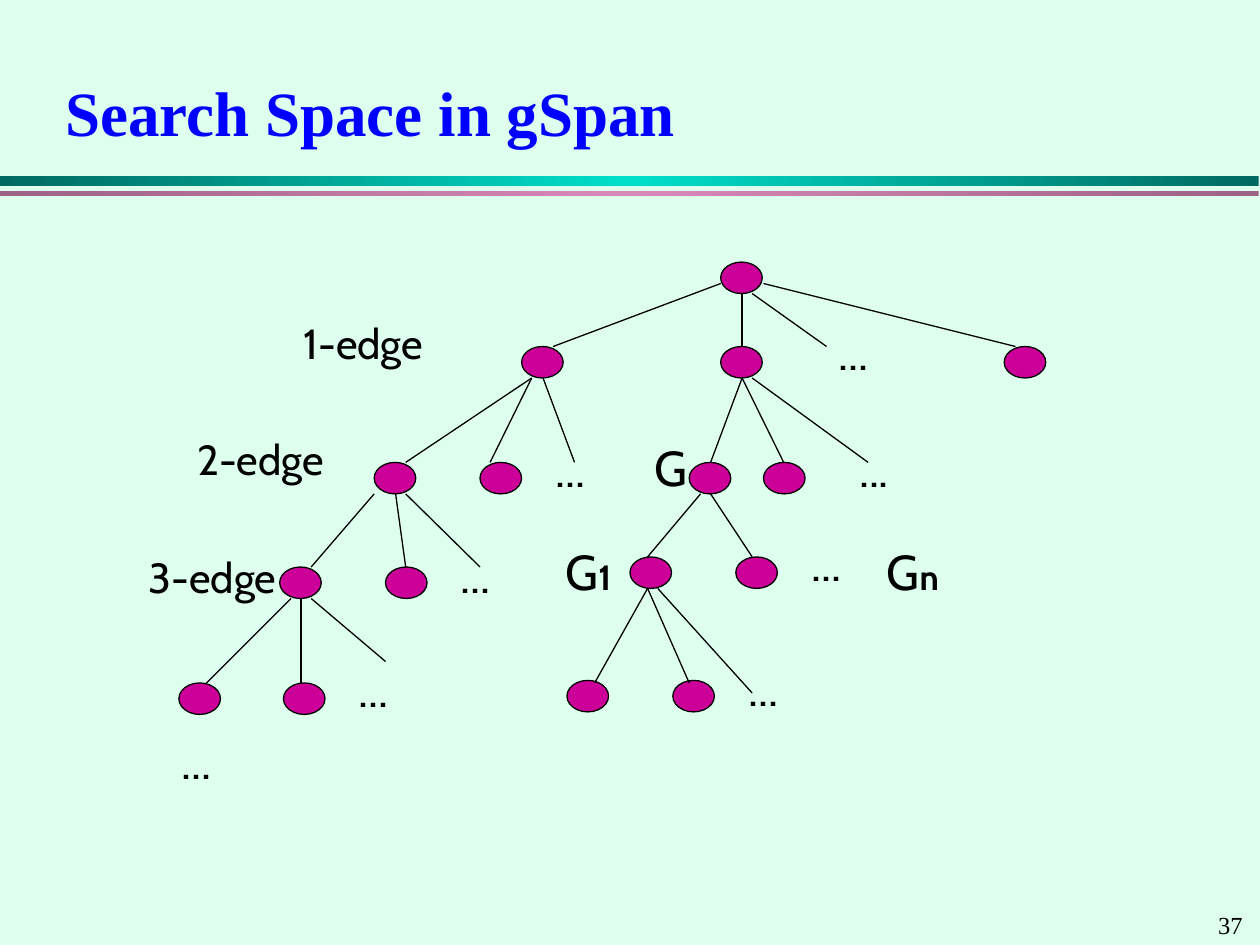
from copy import deepcopy

from lxml import etree
from pptx import Presentation
from pptx.dml.color import RGBColor
from pptx.enum.shapes import MSO_CONNECTOR, MSO_SHAPE
from pptx.enum.text import MSO_ANCHOR, MSO_AUTO_SIZE, PP_ALIGN
from pptx.oxml.ns import qn
from pptx.util import Inches, Pt

LINE = MSO_CONNECTOR.STRAIGHT
OVAL = MSO_SHAPE.OVAL
RECT = MSO_SHAPE.RECTANGLE
MIDDLE = MSO_ANCHOR.MIDDLE
GROW = MSO_AUTO_SIZE.SHAPE_TO_FIT_TEXT
FIXED = MSO_AUTO_SIZE.NONE
LEFT = PP_ALIGN.LEFT

MINT = RGBColor(0xDE, 0xFE, 0xEE)
BLACK = RGBColor(0, 0, 0)
BLUE = RGBColor(0, 0, 0xFF)
PLUM = RGBColor(0xCC, 0, 0x99)
TEAL = RGBColor(0, 0x6A, 0x60)
AQUA = RGBColor(0, 0xDF, 0xCA)
MAUVE = RGBColor(0x9C, 0x62, 0x84)
PINK = RGBColor(0xD9, 0x89, 0xB8)

SERIF = "Times New Roman"
SANS = "Cabin"

NODES = {
    2.08: [5.72],
    2.75: [4.14, 5.72, 7.97],
    3.67: [2.97, 3.81, 5.47, 6.06],
    4.5: [2.22, 3.06],
    4.42: [5, 5.84],
    5.42: [1.42, 2.25],
    5.4: [4.5, 5.34],
}

EDGES = [
    (5.72, 2.25, 4.39, 2.75),
    (5.89, 2.33, 5.89, 2.75),
    (5.97, 2.33, 6.56, 2.75),
    (6.06, 2.25, 8.06, 2.75),
    (4.22, 3, 3.22, 3.67),
    (4.22, 3, 3.89, 3.67),
    (4.31, 3, 4.56, 3.67),
    (5.89, 3, 5.64, 3.67),
    (5.89, 3, 6.22, 3.67),
    (5.97, 3, 6.89, 3.67),
    (2.97, 3.92, 2.47, 4.5),
    (3.14, 3.92, 3.22, 4.5),
    (3.22, 3.92, 3.81, 4.5),
    (5.56, 3.92, 5.14, 4.42),
    (5.64, 3.92, 5.97, 4.42),
    (2.31, 4.75, 1.64, 5.42),
    (2.39, 4.75, 2.39, 5.42),
    (2.47, 4.75, 3.06, 5.25),
    (5.14, 4.67, 4.72, 5.42),
    (5.14, 4.67, 5.47, 5.42),
    (5.22, 4.67, 5.97, 5.5),
]

DOTS = [
    (6.56, 2.5), (4.31, 3.43), (6.72, 3.43), (3.56, 4.27),
    (6.34, 4.18), (2.75, 5.18), (1.34, 5.75), (5.84, 5.17),
]

LEVELS = [("1-edge", 2.31, 2.47), ("2-edge", 1.47, 3.39), ("3-edge", 1.08, 4.33)]

GRAPHS = [("G", "", 5.1, 3.42, 0.46), ("G", "1", 4.39, 4.25, 0.64),
          ("G", "n", 6.94, 4.25, 0.64)]


def write(text, par, size=28, face=SANS, color=BLACK, bold=False):
    run = par.add_run()
    run.text = text
    font = run.font
    font.size = Pt(size)
    font.name = face
    font.color.rgb = color
    font.bold = bold


class Deck:
    def __init__(self):
        self.file = Presentation()
        self.file.slide_width = Inches(10)
        self.file.slide_height = Inches(7.5)
        self.slide = self.file.slides.add_slide(self.file.slide_layouts[5])
        self.shapes = self.slide.shapes
        fill = self.slide.background.fill
        fill.solid()
        fill.fore_color.rgb = MINT

    def title(self, text):
        box = self.shapes.title
        box.left, box.top = Inches(0.42), Inches(0.42)
        box.width, box.height = Inches(9.17), Inches(0.92)
        frame = box.text_frame
        frame.vertical_anchor = MIDDLE
        frame.auto_size = FIXED
        par = frame.paragraphs[0]
        par.alignment = LEFT
        write(text, par, size=36, face=SERIF, color=BLUE, bold=True)

    def shape(self, kind, x, y, w, h):
        item = self.shapes.add_shape(kind, Inches(x), Inches(y), Inches(w), Inches(h))
        item.shadow.inherit = False
        return item

    def bar(self, y, h, edge, core):
        item = self.shape(RECT, 0, y, 9.99, h)
        item.line.fill.background()
        fill = item.fill
        fill.gradient()
        fill.gradient_angle = 0
        stops = item.element.spPr.find(".//" + qn("a:gsLst"))
        stops.insert(1, deepcopy(stops[0]))
        for stop, place, color in zip(fill.gradient_stops, (0, 0.5, 1), (edge, core, edge)):
            stop.position = place
            stop.color.rgb = color

    def node(self, x, y):
        item = self.shape(OVAL, x, y, 0.33, 0.25)
        item.fill.solid()
        item.fill.fore_color.rgb = PLUM
        item.line.color.rgb = BLACK
        item.line.width = Pt(0.75)

    def edge(self, *ends):
        item = self.shapes.add_connector(LINE, *map(Inches, ends))
        item.line.color.rgb = BLACK
        item.line.width = Pt(0.75)
        etree.SubElement(item.element.spPr, qn("a:effectLst"))

    def label(self, text, x, y, w, h, **style):
        box = self.shapes.add_textbox(Inches(x), Inches(y), Inches(w), Inches(h))
        frame = box.text_frame
        frame.word_wrap = False
        frame.auto_size = GROW
        par = frame.paragraphs[0]
        par.alignment = LEFT
        write(text, par, **style)
        return par


def main():
    deck = Deck()
    deck.bar(1.4, 0.08, TEAL, AQUA)
    deck.bar(1.52, 0.04, MAUVE, PINK)
    deck.title("Search Space in gSpan")
    deck.label("37", 9.57, 7.17, 0.43, 0.33, size=14, face=SERIF)
    for y, row in NODES.items():
        for x in row:
            deck.node(x, y)
    for ends in EDGES:
        deck.edge(*ends)
    for x, y in DOTS:
        deck.label("...", x, y, 0.56, 0.57)
    for text, x, y in LEVELS:
        deck.label(text, x, y, 1.22, 0.5, size=24)
    for text, mark, x, y, w in GRAPHS:
        par = deck.label(text, x, y, w, 0.57)
        if mark:
            write(mark, par, size=20, bold=True)
    deck.file.save("out.pptx")


if __name__ == "__main__":
    main()
